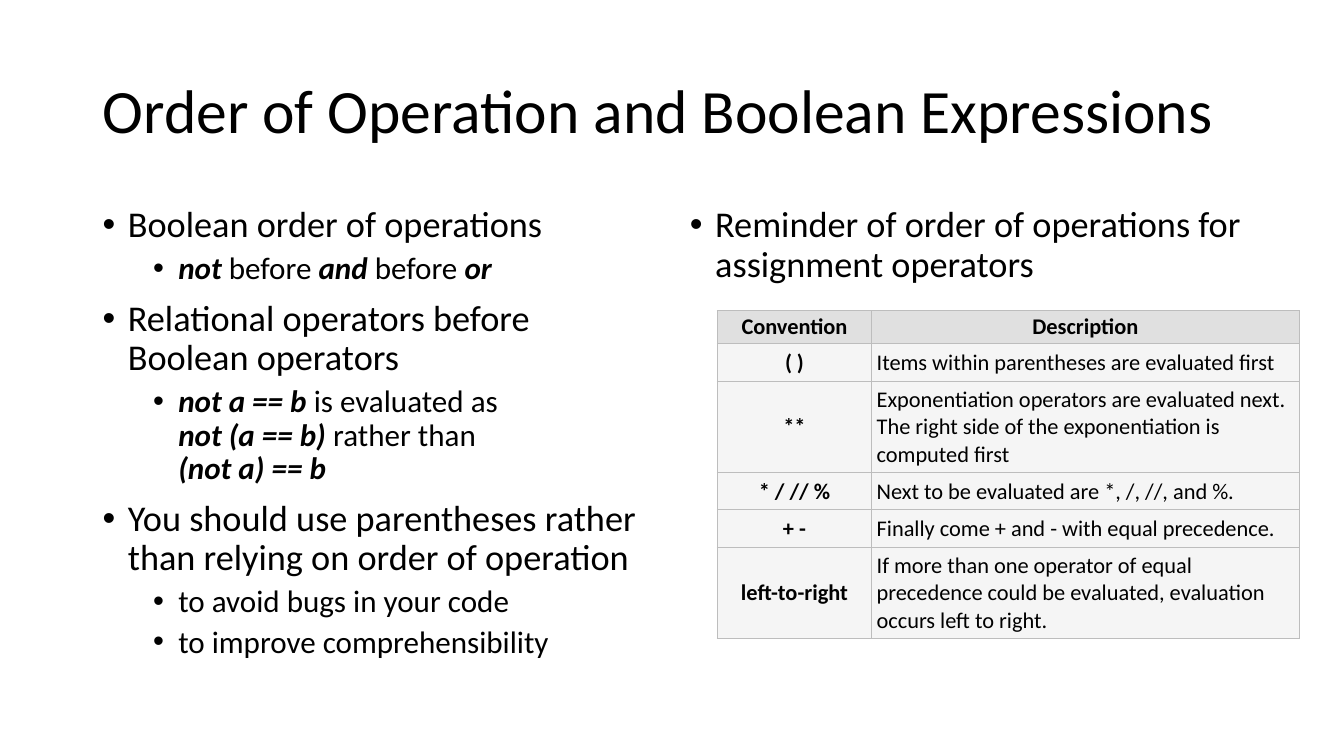
from lxml import etree
from pptx import Presentation
from pptx.dml.color import RGBColor
from pptx.enum.text import MSO_ANCHOR, PP_ALIGN
from pptx.oxml.ns import qn
from pptx.util import Emu, Inches, Pt

MIDDLE, TOP = MSO_ANCHOR.MIDDLE, MSO_ANCHOR.TOP
LEFT, CENTER = PP_ALIGN.LEFT, PP_ALIGN.CENTER
FONT = "Calibri"
COLORS = {"text": "000000", "header": "E0E0E0", "cell": "F5F5F5", "border": "BDBDBD"}
SLIDE_WIDTH, SLIDE_HEIGHT = 13.33, 7.5
MARGIN, GUTTER = 0.92, 0.16
CONTENT_WIDTH = SLIDE_WIDTH - 2 * MARGIN
COLUMN_WIDTH = (CONTENT_WIDTH - GUTTER) / 2
BODY_TOP, BODY_HEIGHT = 2, 4.76
LEVELS = [
    {"size": 25.9, "indent": 0.25, "before": 10},
    {"size": 22.2, "indent": 0.75, "before": 5},
]
HANGING = 0.25
COLUMN_WIDTHS = (1.53, 4.24)
LINE_HEIGHT = 0.27

TITLE = "Order of Operation and Boolean Expressions"
BOOLEAN_RULES = [
    (0, "Boolean order of operations"),
    (1, "_not_ before _and_ before _or_"),
    (0, "Relational operators before Boolean operators"),
    (1, "_not a == b _is evaluated as\n_not (a == b) _rather than \n_(not a) == b_"),
    (0, "You should use parentheses rather than relying on order of operation"),
    (1, "to avoid bugs in your code"),
    (1, "to improve comprehensibility"),
]
REMINDER = [(0, "Reminder of order of operations for assignment operators")]
PRECEDENCE = [
    ("Convention", "Description", 1),
    ("( )", "Items within parentheses are evaluated first", 1),
    ("**", "Exponentiation operators are evaluated next. The right side of the "
           "exponentiation is computed first", 3),
    ("* / // %", "Next to be evaluated are *, /, //, and %.", 1),
    ("+ -", "Finally come + and - with equal precedence.", 1),
    ("left-to-right", "If more than one operator of equal precedence could be "
                      "evaluated, evaluation occurs left to right.", 3),
]


def style_font(font, size):
    """Apply the common typeface and colour at the given point size."""
    font.name = FONT
    font.size = Pt(size)
    font.color.rgb = RGBColor.from_string(COLORS["text"])


def add_text_frame(slide, box, anchor):
    """Add a wrapping text box and return its text frame."""
    frame = slide.shapes.add_textbox(*map(Inches, box)).text_frame
    frame.word_wrap = True
    frame.vertical_anchor = anchor
    return frame


def add_title(slide, box):
    """Place the slide title in the box."""
    paragraph = add_text_frame(slide, box, MIDDLE).paragraphs[0]
    paragraph.text = TITLE
    paragraph.line_spacing = 0.9
    style_font(paragraph.font, 44)


def set_bullet(paragraph, indent):
    """Give the paragraph a hanging round bullet."""
    properties = paragraph._p.get_or_add_pPr()
    properties.set("marL", str(Inches(indent)))
    properties.set("indent", str(-Inches(HANGING)))
    bullet_font = etree.Element(qn("a:buFont"), typeface="Arial")
    bullet = etree.Element(qn("a:buChar"), char="•")
    properties.find(qn("a:defRPr")).addprevious(bullet_font)
    bullet_font.addnext(bullet)


def add_marked_text(paragraph, text):
    """Add runs, with parts between underscores in bold italics."""
    for index, part in enumerate(text.split("_")):
        for line_index, line in enumerate(part.split("\n")):
            if line_index:
                paragraph.add_line_break()
            if line:
                run = paragraph.add_run()
                run.text = line
                if index % 2:
                    run.font.bold = run.font.italic = True


def add_bullets(slide, box, items):
    """Place a two-level bullet list in the box."""
    frame = add_text_frame(slide, box, TOP)
    for index, (level, text) in enumerate(items):
        paragraph = frame.add_paragraph() if index else frame.paragraphs[0]
        look = LEVELS[level]
        paragraph.level = level
        paragraph.line_spacing = 0.9
        paragraph.space_before = Pt(look["before"])
        style_font(paragraph.font, look["size"])
        set_bullet(paragraph, look["indent"])
        add_marked_text(paragraph, text)


def set_borders(cell):
    """Draw a thin line on every side of the cell."""
    properties = cell._tc.get_or_add_tcPr()
    for index, side in enumerate(("lnL", "lnR", "lnT", "lnB")):
        line = etree.Element(qn(f"a:{side}"), w=str(Pt(0.75)))
        fill = etree.SubElement(line, qn("a:solidFill"))
        etree.SubElement(fill, qn("a:srgbClr"), val=COLORS["border"])
        properties.insert(index, line)


def fill_cell(cell, text, is_header, is_label):
    """Write and style one table cell."""
    margin = Inches(0.03 if is_header else 0.05)
    cell.margin_left = cell.margin_right = margin
    cell.margin_top = cell.margin_bottom = margin
    cell.vertical_anchor = MIDDLE
    cell.fill.solid()
    cell.fill.fore_color.rgb = RGBColor.from_string(COLORS["header" if is_header else "cell"])
    set_borders(cell)
    paragraph = cell.text_frame.paragraphs[0]
    paragraph.text = text
    paragraph.alignment = CENTER if is_header or is_label else LEFT
    style_font(paragraph.font, 16)
    paragraph.font.bold = is_header or is_label


def add_precedence_table(slide, left, top):
    """Place the operator table with row heights set by line counts."""
    heights = [(0.1 if row else 0.06) + LINE_HEIGHT * entry[2]
               for row, entry in enumerate(PRECEDENCE)]
    box = (left, top, sum(COLUMN_WIDTHS), sum(heights))
    table = slide.shapes.add_table(
        len(PRECEDENCE), len(COLUMN_WIDTHS), *map(Inches, box)).table
    for column, width in zip(table.columns, COLUMN_WIDTHS):
        column.width = Inches(width)
    for row_index, (height, entry) in enumerate(zip(heights, PRECEDENCE)):
        table.rows[row_index].height = Emu(Inches(height))
        for column_index, text in enumerate(entry[:2]):
            fill_cell(table.cell(row_index, column_index), text,
                      row_index == 0, column_index == 0)


def main():
    """Build and save the slide."""
    presentation = Presentation()
    presentation.slide_width = Inches(SLIDE_WIDTH)
    presentation.slide_height = Inches(SLIDE_HEIGHT)
    slide = presentation.slides.add_slide(presentation.slide_layouts[6])
    add_title(slide, (MARGIN, 0.4, CONTENT_WIDTH, 1.45))
    right = MARGIN + COLUMN_WIDTH + GUTTER
    add_bullets(slide, (MARGIN, BODY_TOP, COLUMN_WIDTH, BODY_HEIGHT), BOOLEAN_RULES)
    add_bullets(slide, (right, BODY_TOP, COLUMN_WIDTH, BODY_HEIGHT), REMINDER)
    add_precedence_table(slide, right + 0.37, BODY_TOP + 1.08)
    presentation.save("out.pptx")


if __name__ == "__main__":
    main()
